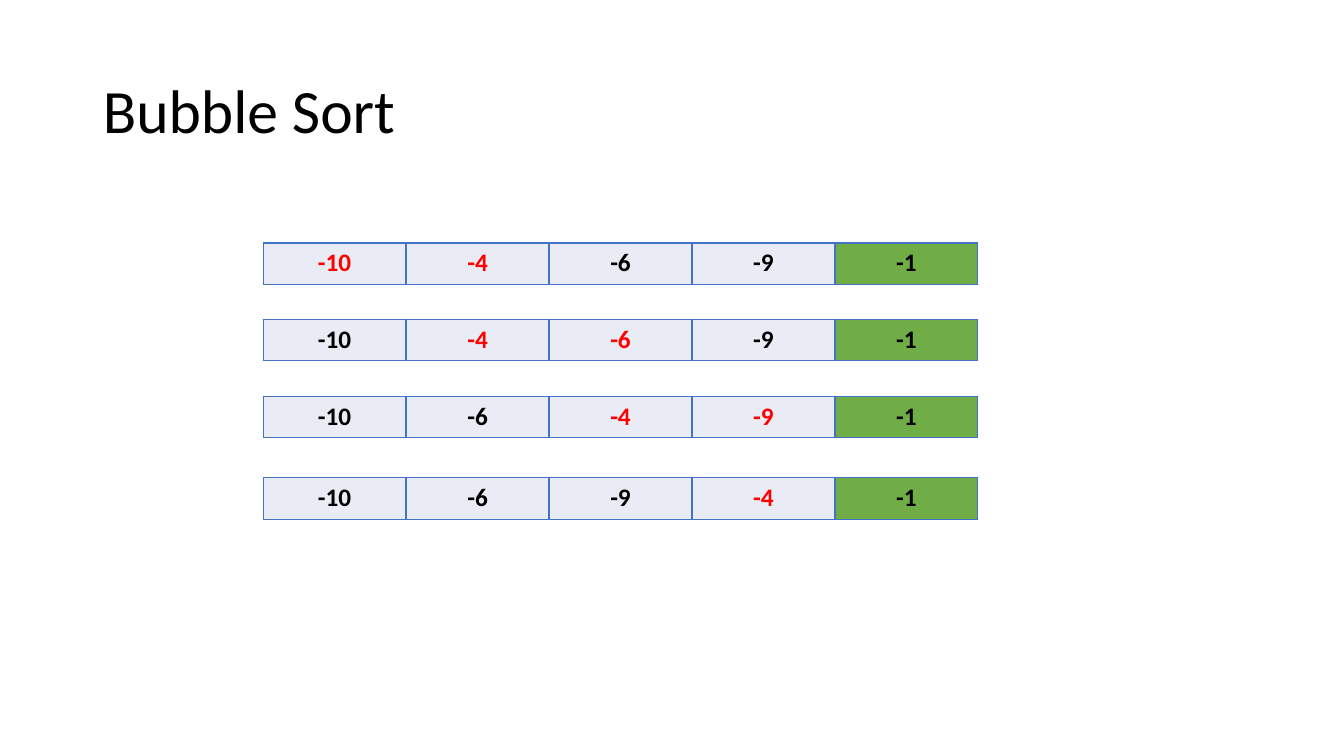
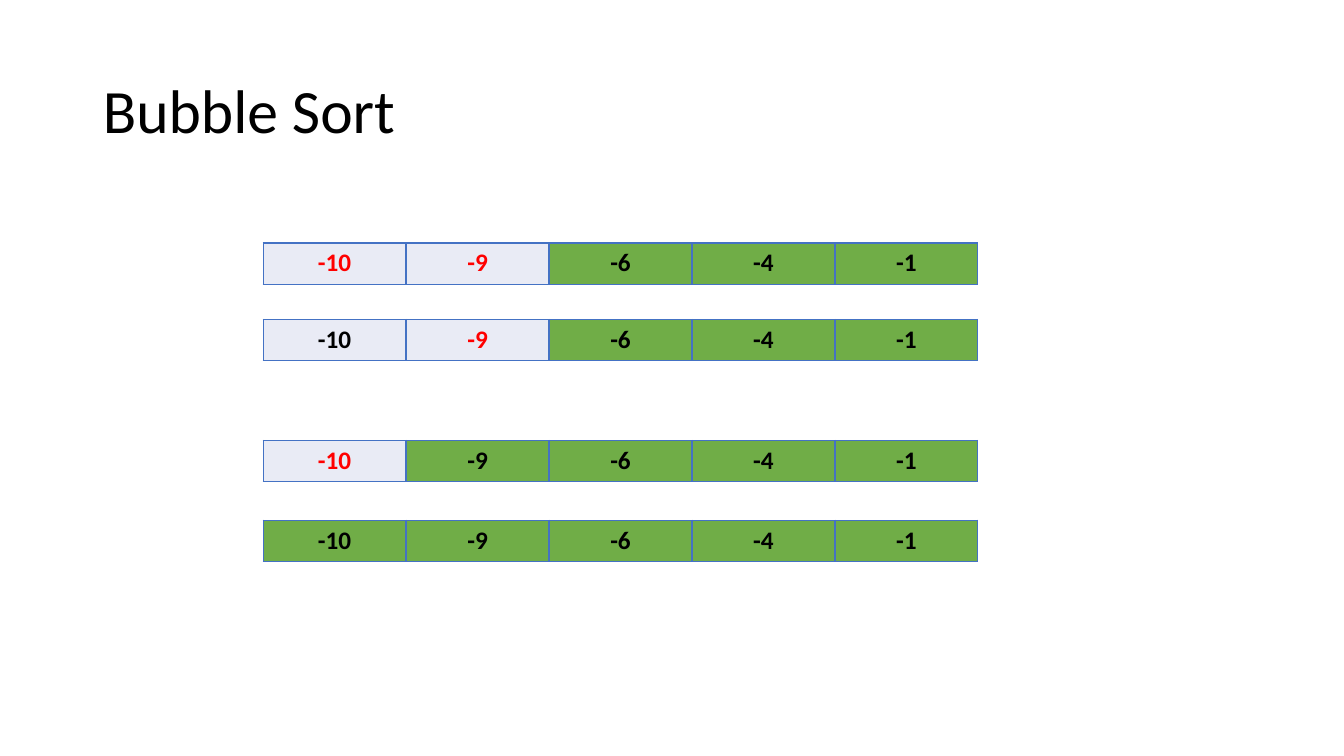
from lxml import etree
from pptx import Presentation
from pptx.dml.color import RGBColor
from pptx.enum.text import MSO_ANCHOR, PP_ALIGN
from pptx.oxml.ns import qn
from pptx.util import Inches, Pt

LEFT, CENTER = PP_ALIGN.LEFT, PP_ALIGN.CENTER
MIDDLE = MSO_ANCHOR.MIDDLE
TITLE_ONLY = 5

FONT = "Calibri"
BLACK, COMPARED = "000000", "FF0000"
UNSORTED, SORTED, BORDER = "E9EBF5", "70AD47", "4472C4"

TITLE = "Bubble Sort"
TABLE_LEFT, CELL_W, CELL_H = 2.61, 1.418, 0.41

# Each step: top, values, indexes being compared, index where the sorted part starts
SLIDES = [
    [
        (2.41, (-10, -4, -6, -9, -1), (0, 1), 4),
        (3.17, (-10, -4, -6, -9, -1), (1, 2), 4),
        (3.93, (-10, -6, -4, -9, -1), (2, 3), 4),
        (4.74, (-10, -6, -9, -4, -1), (3,), 4),
    ],
    [
        (2.41, (-10, -9, -6, -4, -1), (0, 1), 2),
        (3.17, (-10, -9, -6, -4, -1), (1,), 2),
        (4.37, (-10, -9, -6, -4, -1), (0,), 1),
        (5.16, (-10, -9, -6, -4, -1), (), 0),
    ],
]


def rgb(value):
    return RGBColor.from_string(value)


def style_font(font, size, color, bold=False):
    font.name, font.size, font.bold = FONT, Pt(size), bold
    font.color.rgb = rgb(color)


def add_title(slide):
    sp = slide.shapes.title
    sp.left, sp.top = Inches(0.92), Inches(0.4)
    sp.width, sp.height = Inches(11.5), Inches(1.45)
    tf = sp.text_frame
    tf.text = TITLE
    tf.vertical_anchor = MIDDLE
    p = tf.paragraphs[0]
    p.alignment, p.line_spacing = LEFT, 0.9
    style_font(p.runs[0].font, 44, BLACK)


def set_borders(cell):
    # Border lines come before the fill in the cell properties
    props = cell._tc.get_or_add_tcPr()
    for i, side in enumerate(("a:lnL", "a:lnR", "a:lnT", "a:lnB")):
        ln = etree.Element(qn(side), w=str(Pt(1)))
        fill = etree.SubElement(ln, qn("a:solidFill"))
        etree.SubElement(fill, qn("a:srgbClr"), val=BORDER)
        props.insert(i, ln)


def add_step(slide, top, values, compared, sorted_from):
    count = len(values)
    table = slide.shapes.add_table(
        1, count, Inches(TABLE_LEFT), Inches(top),
        Inches(CELL_W * count), Inches(CELL_H)).table
    table.first_row = table.horz_banding = False
    for i, value in enumerate(values):
        cell = table.cell(0, i)
        cell.text = str(value)
        cell.fill.solid()
        cell.fill.fore_color.rgb = rgb(SORTED if i >= sorted_from else UNSORTED)
        set_borders(cell)
        p = cell.text_frame.paragraphs[0]
        p.alignment = CENTER
        style_font(p.runs[0].font, 18, COMPARED if i in compared else BLACK, True)


def main():
    prs = Presentation()
    prs.slide_width, prs.slide_height = Inches(13.33), Inches(7.5)
    for steps in SLIDES:
        slide = prs.slides.add_slide(prs.slide_layouts[TITLE_ONLY])
        add_title(slide)
        for step in steps:
            add_step(slide, *step)
    prs.save("out.pptx")


if __name__ == "__main__":
    main()
